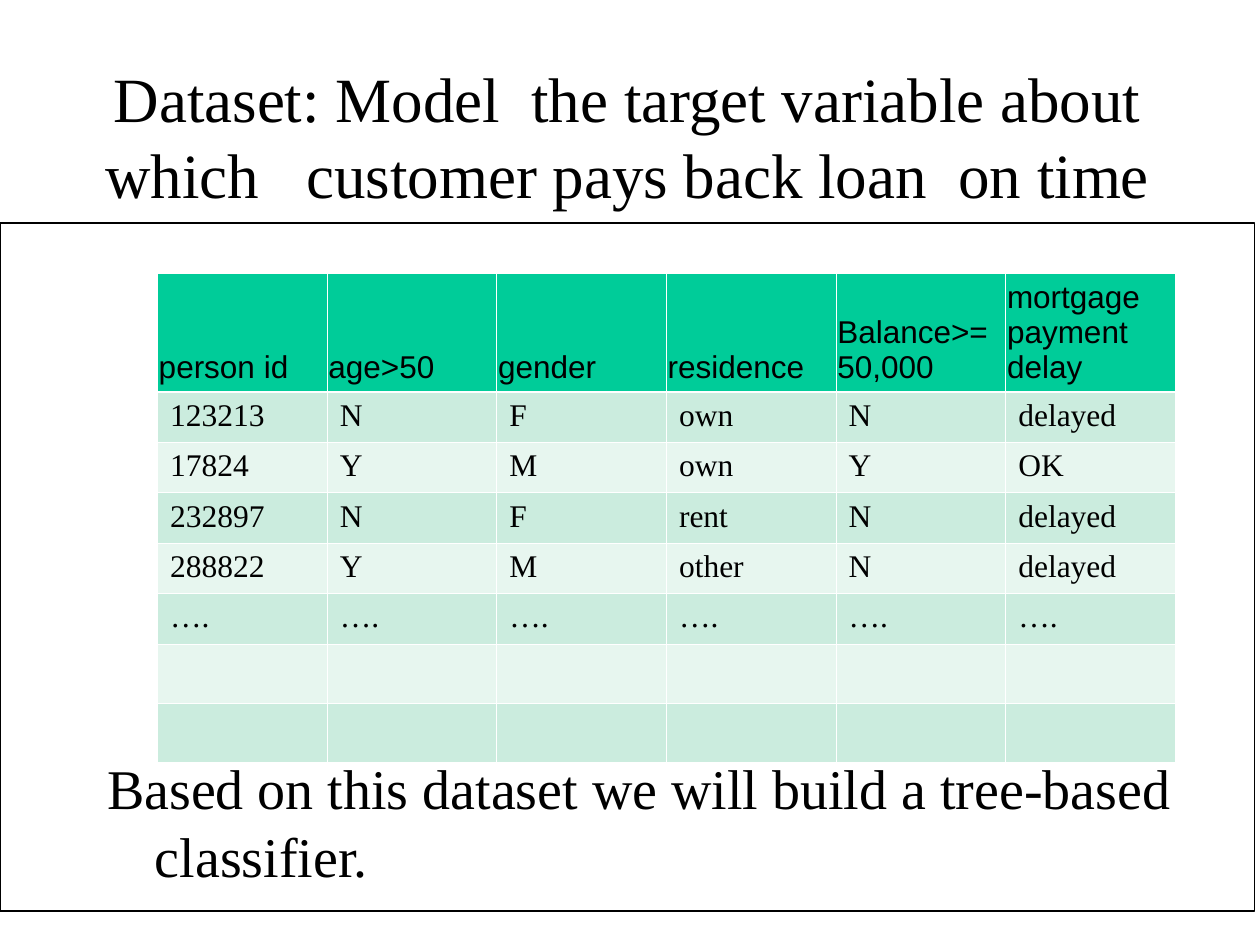
from dataclasses import dataclass

from lxml import etree
from pptx import Presentation
from pptx.dml.color import RGBColor
from pptx.enum import shapes, text
from pptx.oxml import ns
from pptx.util import Inches, Pt


@dataclass(frozen=True)
class Theme:
    """Colours, fonts, type sizes and line widths."""
    ink: str = "000000"
    paper: str = "FFFFFF"
    header: str = "00CC99"
    bands: tuple = ("CBECDE", "E7F6EF")
    serif: str = "Times New Roman"
    sans: str = "Arial"
    title_size: int = 36
    body_size: int = 32
    cell_size: int = 18
    frame_line: float = 0.75
    thin_line: float = 0.45
    thick_line: float = 1.47


THEME = Theme()
TITLE = "Dataset: Model  the target variable about which   customer pays back loan  on time"
BODY = "Based on this dataset we will build a tree-based classifier."
HEADINGS = ["person id", "age>50", "gender", "residence", "Balance>=50,000",
            "mortgage payment delay"]
RECORDS = [
    ["123213", "N", "F", "own", "N", "delayed"],
    ["17824", "Y", "M", "own", "Y", "OK"],
    ["232897", "N", "F", "rent", "N", "delayed"],
    ["288822", "Y", "M", "other", "N", "delayed"],
    ["…."] * len(HEADINGS),
    [""] * len(HEADINGS),
    [""] * len(HEADINGS),
]
HEADER_HEIGHT, RECORD_HEIGHT, BLANK_HEIGHT = 0.93, 0.4, 0.47


def set_font(para, name, size):
    """Give a paragraph its font, size and the ink colour."""
    para.font.name = name
    para.font.size = Pt(size)
    para.font.color.rgb = RGBColor.from_string(THEME.ink)


def place(shape, box):
    """Move a shape to a box of left, top, width and height in inches."""
    shape.left, shape.top, shape.width, shape.height = map(Inches, box)


def fill_placeholder(holder, box, wording, size, anchor):
    """Move a placeholder to its box and return its one formatted paragraph."""
    place(holder, box)
    frame = holder.text_frame
    frame.text = wording
    frame.word_wrap = True
    frame.auto_size = text.MSO_AUTO_SIZE.NONE
    frame.vertical_anchor = anchor
    para = frame.paragraphs[0]
    set_font(para, THEME.serif, size)
    return para


def add_title(page, box):
    """Place the centred slide title."""
    para = fill_placeholder(page.shapes.title, box, TITLE, THEME.title_size,
                            text.MSO_ANCHOR.MIDDLE)
    para.alignment = text.PP_ALIGN.CENTER


def add_frame(page, box):
    """Draw the outlined panel behind everything else."""
    panel = page.shapes.add_shape(shapes.MSO_SHAPE.RECTANGLE, *map(Inches, box))
    panel.shadow.inherit = False
    panel.fill.solid()
    panel.fill.fore_color.rgb = RGBColor.from_string(THEME.paper)
    panel.line.color.rgb = RGBColor.from_string(THEME.ink)
    panel.line.width = Pt(THEME.frame_line)
    panel.element.getparent().insert(2, panel.element)


def add_body(page, box):
    """Place the closing sentence, with a hanging indent, at the foot of its box."""
    para = fill_placeholder(page.placeholders[1], box, BODY, THEME.body_size,
                            text.MSO_ANCHOR.BOTTOM)
    para.space_before = Pt(8)
    props = para._p.get_or_add_pPr()
    props.set("marL", str(Inches(0.38)))
    props.set("indent", str(Inches(-0.38)))
    etree.SubElement(props, ns.qn("a:buNone"))
    props.insert_element_before(props.find(ns.qn("a:buNone")), "a:defRPr")


def set_borders(cell, top, bottom):
    """Draw paper-coloured cell borders, with the given top and bottom widths."""
    props = cell._tc.get_or_add_tcPr()
    widths = {"lnL": THEME.thin_line, "lnR": THEME.thin_line, "lnT": top, "lnB": bottom}
    for position, (tag, width) in enumerate(widths.items()):
        line = etree.Element(ns.qn(f"a:{tag}"), w=str(Pt(width)))
        fill = etree.SubElement(line, ns.qn("a:solidFill"))
        etree.SubElement(fill, ns.qn("a:srgbClr"), val=THEME.paper)
        props.insert(position, line)


def fill_cell(cell, wording, row):
    """Write and style one cell according to its row."""
    is_header = row == 0
    cell.text = wording
    cell.margin_left = cell.margin_right = Inches(0.01 if is_header else 0.1)
    cell.vertical_anchor = text.MSO_ANCHOR.BOTTOM if is_header else text.MSO_ANCHOR.TOP
    cell.fill.solid()
    colour = THEME.header if is_header else THEME.bands[(row - 1) % 2]
    cell.fill.fore_color.rgb = RGBColor.from_string(colour)
    set_font(cell.text_frame.paragraphs[0], THEME.sans if is_header else THEME.serif,
             THEME.cell_size)
    set_borders(cell, THEME.thick_line if row == 1 else THEME.thin_line,
                THEME.thick_line if is_header else THEME.thin_line)


def add_records(page, box):
    """Place the table of customers in equal columns."""
    rows = [HEADINGS] + RECORDS
    table = page.shapes.add_table(len(rows), len(HEADINGS), *map(Inches, box)).table
    for column in table.columns:
        column.width = Inches(box[2] / len(HEADINGS))
    for row, values in enumerate(rows):
        height = RECORD_HEIGHT if any(values) else BLANK_HEIGHT
        table.rows[row].height = Inches(height if row else HEADER_HEIGHT)
        for column, wording in enumerate(values):
            fill_cell(table.cell(row, column), wording, row)


def main():
    """Build and save the deck."""
    deck = Presentation()
    deck.slide_width, deck.slide_height = Inches(10), Inches(7.5)
    page = deck.slides.add_slide(deck.slide_layouts[1])
    add_frame(page, (0, 1.77, 9.96, 5.46))
    add_body(page, (0.75, 1.42, 9, 5.68))
    add_title(page, (0.48, 0.45, 9, 1.25))
    add_records(page, (1.25, 2.17, 8.08, 3.87))
    deck.save("out.pptx")


if __name__ == "__main__":
    main()
